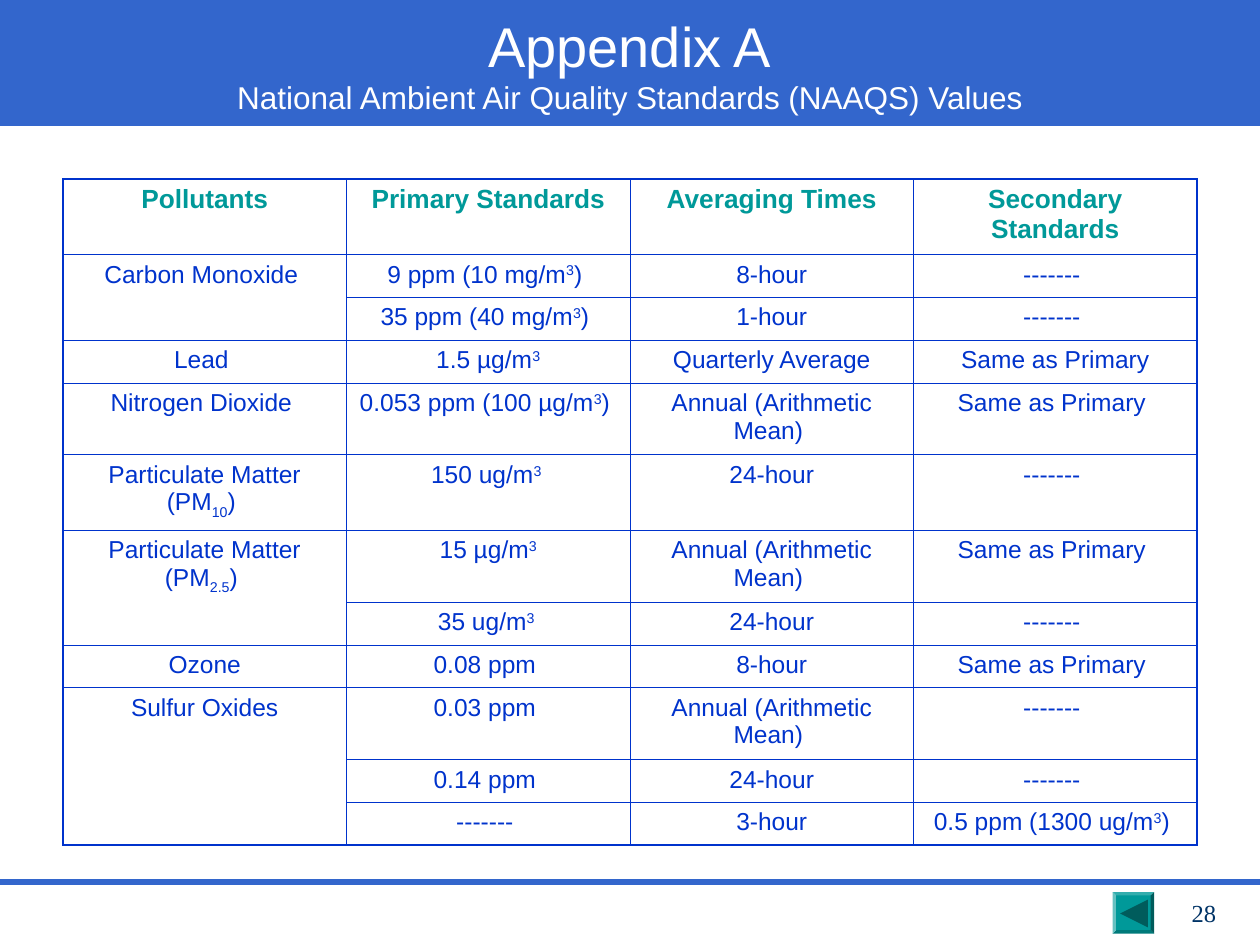
from typing import NamedTuple, Optional

from lxml import etree
from pptx import Presentation
from pptx import util as u
from pptx.dml.color import RGBColor
from pptx.enum import shapes, text
from pptx.oxml import ns

BAND_BLUE, TABLE_BLUE, TEAL = "3366CC", "0033CC", "009999"
ARROW_TEAL, NUMBER_BLUE, WHITE = "005C5C", "003366", "FFFFFF"
OUTER_LINE, INNER_LINE = 1.08, 0.45
BASELINES = {"^": "30000", "_": "-25000"}
NO_VALUE, SAME, ANNUAL = "------- ", "Same as Primary ", "Annual (Arithmetic Mean) "
HEADINGS = ("Pollutants", "Primary Standards", "Averaging Times", "Secondary Standards")


class Style(NamedTuple):
    size: float
    color: str
    font: str = "Arial"
    bold: bool = False


class Standard(NamedTuple):
    """One body row; a pollutant of None continues the one above."""
    height: float
    pollutant: Optional[str]
    primary: str
    averaging: str
    secondary: str


STANDARDS = [
    Standard(0.34, "Carbon Monoxide ", "9 ppm (10 mg/m|^3|) ", "8-hour", NO_VALUE),
    Standard(0.34, None, "35 ppm (40 mg/m|^3|) ", "1-hour", NO_VALUE),
    Standard(0.34, "Lead ", "1.5 µg/m|^3", "Quarterly Average", "Same as Primary"),
    Standard(0.57, "Nitrogen Dioxide ", "0.053 ppm (100 µg/m|^3|) ", ANNUAL, SAME),
    Standard(0.6, "Particulate Matter (PM|_10|) ", "150 ug/m|^3 ", "24-hour", NO_VALUE),
    Standard(0.57, "Particulate Matter (PM|_2.5|) ", "15 µg/m|^3", ANNUAL, SAME),
    Standard(0.34, None, "35 ug/m|^3 ", "24-hour", NO_VALUE),
    Standard(0.34, "Ozone", "0.08 ppm ", "8-hour", SAME),
    Standard(0.57, "Sulfur Oxides", "0.03 ppm ", ANNUAL, NO_VALUE),
    Standard(0.34, None, "0.14 ppm ", "24-hour", NO_VALUE),
    Standard(0.34, None, NO_VALUE, "3-hour", "0.5 ppm (1300 ug/m|^3|) "),
]


def rgb(color: str) -> RGBColor:
    return RGBColor.from_string(color)


def add_runs(paragraph, marked: str, style: Style) -> None:
    """Add runs split at |; a leading ^ raises a run and _ lowers it."""
    for part in marked.split("|"):
        run = paragraph.add_run()
        run.text = part.lstrip("^_")
        run.font.name, run.font.size = style.font, u.Pt(style.size)
        run.font.bold = style.bold
        run.font.color.rgb = rgb(style.color)
        if part[0] in BASELINES:
            run.font._element.set("baseline", BASELINES[part[0]])


def add_filled(slide, kind, left: float, top: float, width: float, height: float, color: str):
    shape = slide.shapes.add_shape(
        kind, u.Inches(left), u.Inches(top), u.Inches(width), u.Inches(height))
    shape.shadow.inherit = False
    shape.fill.solid()
    shape.fill.fore_color.rgb = rgb(color)
    shape.line.fill.background()
    return shape


def add_text_frame(slide, left: float, top: float, width: float, height: float, anchor, alignment):
    frame = slide.shapes.add_textbox(
        u.Inches(left), u.Inches(top), u.Inches(width), u.Inches(height)).text_frame
    frame.word_wrap = True
    frame.vertical_anchor = anchor
    frame.paragraphs[0].alignment = alignment
    return frame


def add_rule(slide, top: float) -> None:
    line = slide.shapes.add_connector(
        shapes.MSO_CONNECTOR.STRAIGHT, 0, u.Inches(top), u.Inches(10), u.Inches(top))
    line.line.color.rgb = rgb(BAND_BLUE)
    line.line.width = u.Pt(3)
    etree.SubElement(line._element.spPr, ns.qn("a:effectLst"))


def set_borders(cell, outer: dict[str, bool]) -> None:
    properties = cell._tc.get_or_add_tcPr()
    for side, is_outer in outer.items():
        width = u.Pt(OUTER_LINE if is_outer else INNER_LINE)
        line = etree.SubElement(properties, ns.qn(f"a:ln{side}"), w=str(width))
        fill = etree.SubElement(line, ns.qn("a:solidFill"))
        etree.SubElement(fill, ns.qn("a:srgbClr"), val=TABLE_BLUE)


def add_standards_table(slide) -> None:
    heights = [0.6] + [standard.height for standard in STANDARDS]
    rows = [HEADINGS] + [standard[1:] for standard in STANDARDS]
    last_row, last_column = len(rows) - 1, len(HEADINGS) - 1
    table = slide.shapes.add_table(
        len(rows), len(HEADINGS), u.Inches(0.5), u.Inches(1.42),
        u.Inches(9), u.Inches(sum(heights))).table
    table.first_row = table.horz_banding = False

    group_start = 0
    for row, (height, values) in enumerate(zip(heights, rows)):
        table.rows[row].height = u.Inches(height)
        style = Style(14, TABLE_BLUE) if row else Style(15, TEAL, bold=True)
        for column, value in enumerate(values):
            cell = table.cell(row, column)
            set_borders(cell, {"L": column == 0, "R": column == last_column,
                               "T": row == 0, "B": row == last_row})
            cell.fill.background()
            if value:
                paragraph = cell.text_frame.paragraphs[0]
                paragraph.alignment = text.PP_ALIGN.CENTER
                add_runs(paragraph, value, style)
        if values[0]:
            group_start = row
        if row == last_row or rows[row + 1][0]:
            if row > group_start:
                table.cell(group_start, 0).merge(table.cell(row, 0))
                set_last = table.cell(group_start, 0)._tc.tcPr.find(ns.qn("a:lnB"))
                set_last.set("w", str(u.Pt(OUTER_LINE if row == last_row else INNER_LINE)))


def add_back_button(slide) -> None:
    button = add_filled(slide, shapes.MSO_SHAPE.BEVEL, 8.83, 7.08, 0.33, 0.33, TEAL)
    button.adjustments[0] = 0.08
    arrow = add_filled(
        slide, shapes.MSO_SHAPE.ISOSCELES_TRIANGLE, 8.89, 7.14, 0.22, 0.22, ARROW_TEAL)
    arrow.rotation = 270


def main() -> None:
    presentation = Presentation()
    presentation.slide_width, presentation.slide_height = u.Inches(10), u.Inches(7.5)
    slide = presentation.slides.add_slide(presentation.slide_layouts[6])

    add_filled(slide, shapes.MSO_SHAPE.RECTANGLE, 0, 0, 10, 1, BAND_BLUE)
    add_rule(slide, 7)
    title = add_text_frame(slide, 0.5, 0.17, 9, 0.67,
                           text.MSO_ANCHOR.MIDDLE, text.PP_ALIGN.CENTER).paragraphs[0]
    add_runs(title, "Appendix A", Style(32, WHITE))
    title.add_line_break()
    add_runs(title, "National Ambient Air Quality Standards (NAAQS) Values", Style(18, WHITE))

    add_back_button(slide)
    add_standards_table(slide)
    number = add_text_frame(slide, 7.42, 7.08, 2.33, 0.25,
                            text.MSO_ANCHOR.TOP, text.PP_ALIGN.RIGHT)
    add_runs(number.paragraphs[0], "28", Style(14, NUMBER_BLUE, "Times New Roman"))
    presentation.save("out.pptx")


if __name__ == "__main__":
    main()
